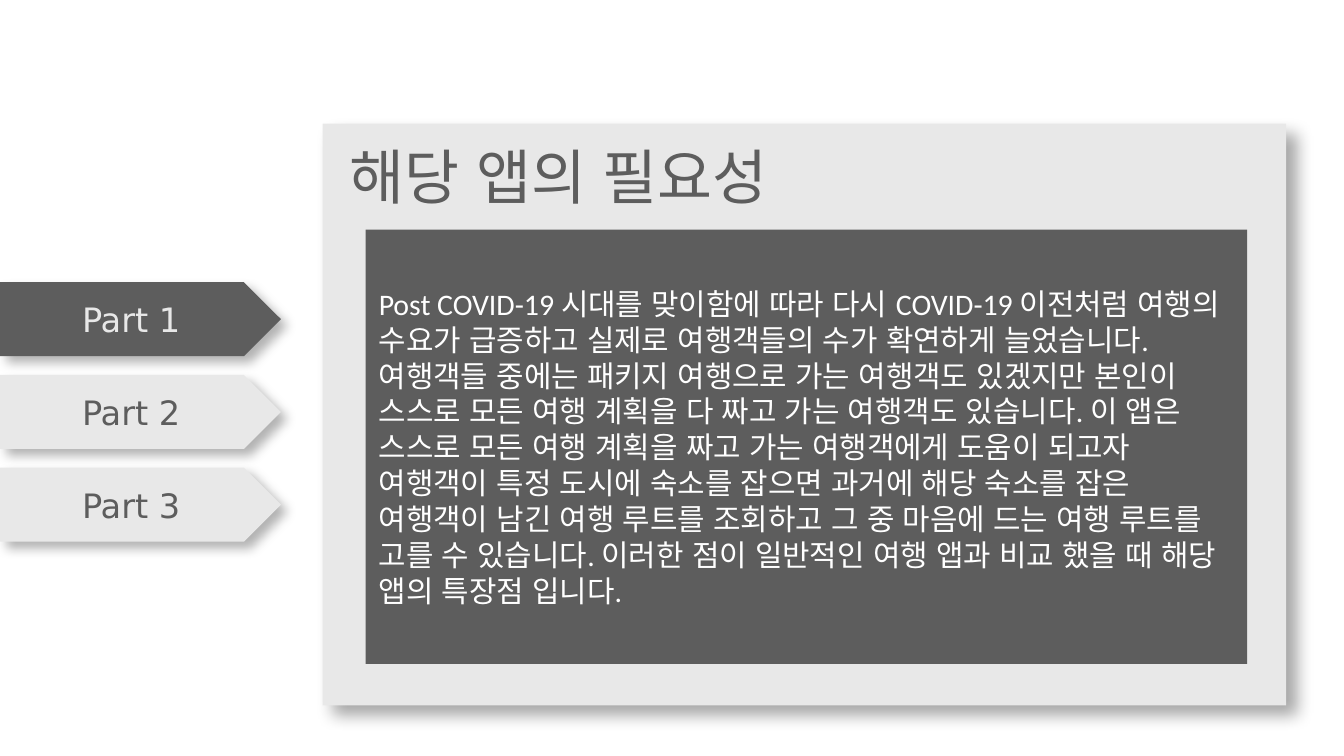
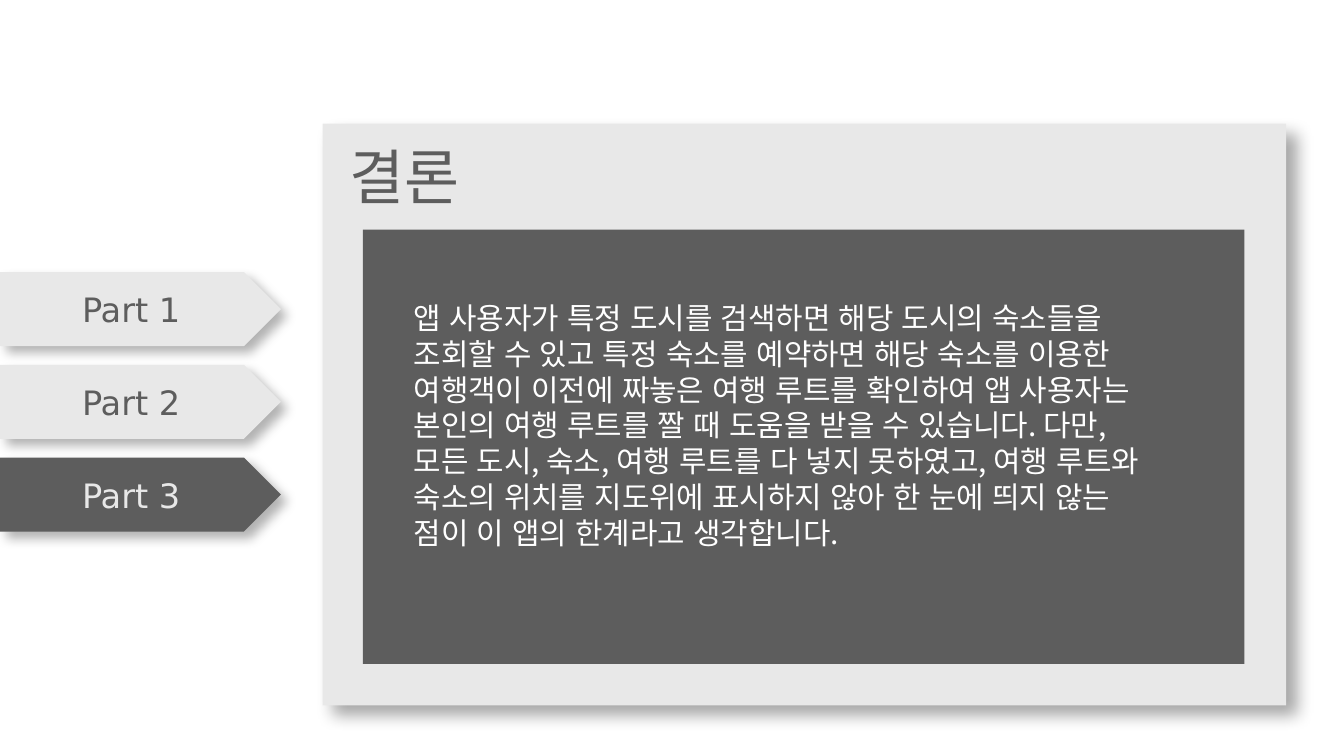
from pptx import Presentation
from pptx.dml.color import RGBColor
from pptx.enum.lang import MSO_LANGUAGE_ID as LANG
from pptx.enum.shapes import MSO_SHAPE as SHAPE
from pptx.enum.text import MSO_ANCHOR as ANCHOR, MSO_AUTO_SIZE as FIT, PP_ALIGN as ALIGN
from pptx.oxml import parse_xml
from pptx.oxml.ns import nsdecls, qn
from pptx.util import Emu, Pt
from lxml.etree import SubElement

PX = 4572
COLORS = {"light": "E8E8E8", "dark": "5D5D5D", "white": "FFFFFF", "shadow": "000000"}
KOREAN, LATIN, TAB = "Noto Sans CJK KR", "Calibri", "DejaVu Sans"
PARTS = ["Part 1", "Part 2", "Part 3"]
TAB_PITCH = 138

NEED = (
    "Post COVID-19 시대를 맞이함에 따라 다시 COVID-19 이전처럼 여행의 수요가 급증하고 "
    "실제로 여행객들의 수가 확연하게 늘었습니다. 여행객들 중에는 패키지 여행으로 가는 "
    "여행객도 있겠지만 본인이 스스로 모든 여행 계획을 다 짜고 가는 여행객도 있습니다. "
    "이 앱은 스스로 모든 여행 계획을 짜고 가는 여행객에게 도움이 되고자 여행객이 특정 "
    "도시에 숙소를 잡으면 과거에 해당 숙소를 잡은 여행객이 남긴 여행 루트를 조회하고 "
    "그 중 마음에 드는 여행 루트를 고를 수 있습니다. 이러한 점이 일반적인 여행 앱과 "
    "비교 했을 때 해당 앱의 특장점 입니다."
)
CONCLUSION = (
    "앱 사용자가 특정 도시를 검색하면 해당 도시의 숙소들을 조회할 수 있고 특정 숙소를 "
    "예약하면 해당 숙소를 이용한 여행객이 이전에 짜놓은 여행 루트를 확인하여 앱 "
    "사용자는 본인의 여행 루트를 짤 때 도움을 받을 수 있습니다. 다만, 모든 도시, 숙소, "
    "여행 루트를 다 넣지 못하였고, 여행 루트와 숙소의 위치를 지도위에 표시하지 않아 "
    "한 눈에 띄지 않는 점이 이 앱의 한계라고 생각합니다."
)


def px(*values):
    return [Emu(v * PX) for v in values]


class Deck:
    def __init__(self):
        self.prs = Presentation()
        self.prs.slide_width, self.prs.slide_height = px(2000, 1125)
        self.slide = None

    def color(self, name):
        return RGBColor.from_string(COLORS[name])

    def text(self, sp, text, font, size, color, align=ALIGN.LEFT, anchor=ANCHOR.TOP):
        tf = sp.text_frame
        tf.word_wrap = True
        tf.vertical_anchor = anchor
        p = tf.paragraphs[0]
        p.alignment = align
        r = p.add_run()
        r.text = text
        r.font.name, r.font.size = font, Pt(size)
        r.font.color.rgb = self.color(color)
        r.font.language_id = LANG.KOREAN
        SubElement(r.font._element, qn("a:ea")).set("typeface", KOREAN)

    def shape(self, kind, box, fill, shadow=None):
        sp = self.slide.shapes.add_shape(kind, *px(*box))
        sp.fill.solid()
        sp.fill.fore_color.rgb = self.color(fill)
        sp.line.fill.background()
        sp.shadow.inherit = False
        if shadow:
            alpha, blur, dist = shadow
            effects = sp._element.spPr.find(qn("a:effectLst"))
            effects.append(parse_xml(
                f'<a:outerShdw {nsdecls("a")} blurRad="{Pt(blur)}" dist="{Pt(dist)}" '
                f'dir="2700000" algn="tl" rotWithShape="0"><a:srgbClr val="{COLORS["shadow"]}">'
                f'<a:alpha val="{alpha * 1000}"/></a:srgbClr></a:outerShdw>'))
        return sp

    def title(self, text, width):
        sp = self.slide.shapes.title
        sp.left, sp.top, sp.width, sp.height = px(500, 198, width, 124)
        self.text(sp, text, KOREAN, 32, "dark")
        sp.text_frame.auto_size = FIT.SHAPE_TO_FIT_TEXT
        self.slide.shapes._spTree.append(sp._element)

    def textbox(self, box, text):
        sp = self.slide.shapes.add_textbox(*px(*box))
        self.text(sp, text, KOREAN, 16, "white")
        sp.text_frame.auto_size = FIT.SHAPE_TO_FIT_TEXT

    def tabs(self, top, active):
        for i, part in enumerate(PARTS):
            fill, ink = ("dark", "light") if i == active else ("light", "dark")
            box = (0, top + i * TAB_PITCH, 418, 110)
            sp = self.shape(SHAPE.PENTAGON, box, fill, (30, 6, 5))
            sp.adjustments[0] = 0.5
            self.text(sp, part, TAB, 18, ink, ALIGN.CENTER, ANCHOR.MIDDLE)

    def page(self, title, title_width, board_left, tabs_top, active):
        self.slide = self.prs.slides.add_slide(self.prs.slide_layouts.get_by_name("Title Only"))
        self.shape(SHAPE.RECTANGLE, (480, 184, 1434, 866), "light", (35, 9, 8))
        board = self.shape(SHAPE.RECTANGLE, (board_left, 342, 1312, 646), "dark")
        self.title(title, title_width)
        self.tabs(tabs_top, active)
        return board


def main():
    deck = Deck()
    board = deck.page("해당 앱의 필요성", 736, 544, 420, 0)
    deck.text(board, NEED, LATIN, 16, "white", anchor=ANCHOR.MIDDLE)

    deck.page("결론", 580, 540, 405, 2)
    deck.textbox((596, 436, 1160, 80), CONCLUSION)
    deck.prs.save("out.pptx")


if __name__ == "__main__":
    main()
